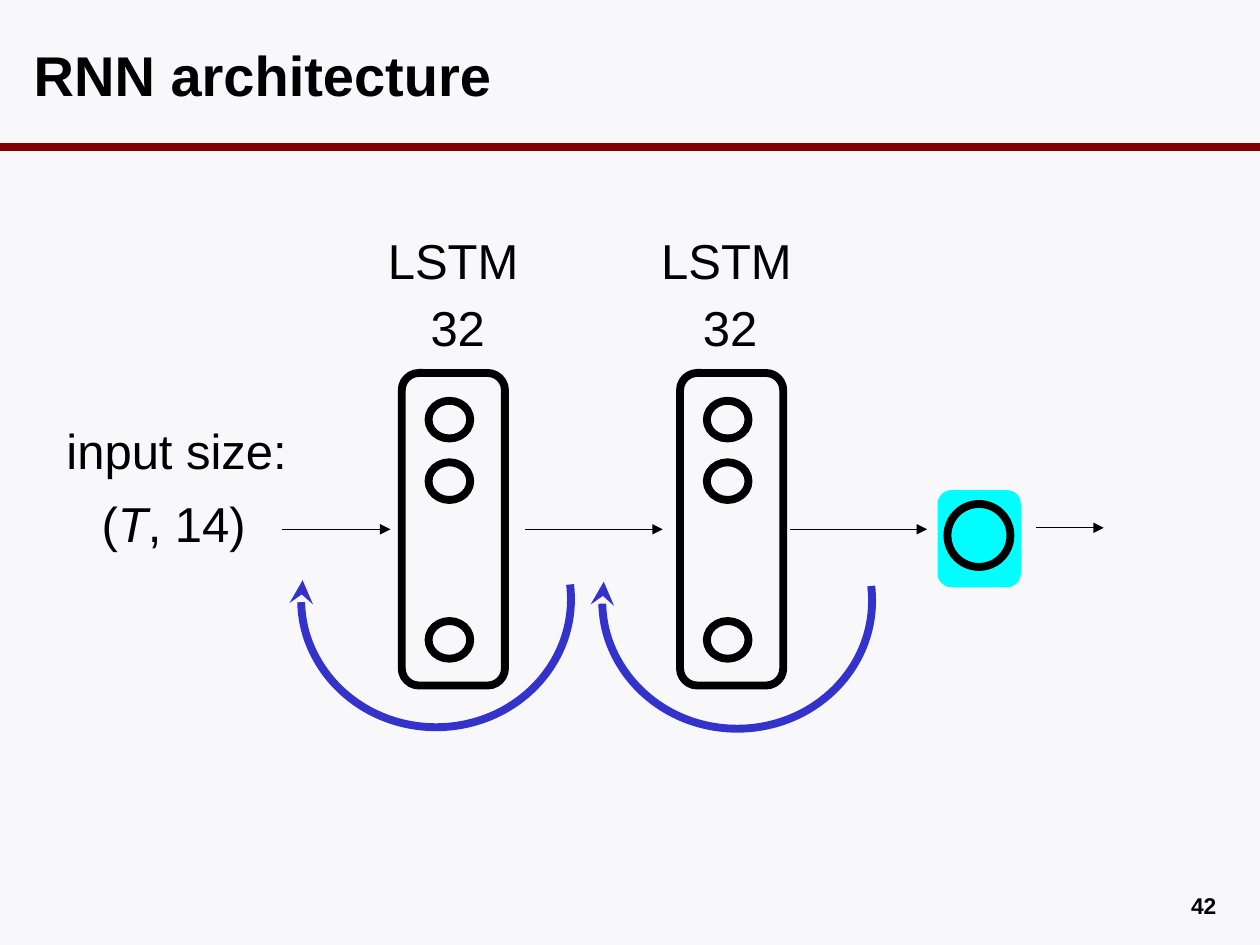
from typing import NamedTuple

from lxml.etree import SubElement
from pptx import Presentation
from pptx.dml.color import RGBColor
from pptx.enum.shapes import MSO_CONNECTOR, MSO_SHAPE
from pptx.enum.text import MSO_ANCHOR, PP_ALIGN
from pptx.oxml.ns import qn
from pptx.util import Cm, Pt

BLACK = RGBColor(0x00, 0x00, 0x00)
BLUE = RGBColor(0x33, 0x33, 0xCC)
CYAN = RGBColor(0x00, 0xFF, 0xFF)
MAROON = RGBColor(0x80, 0x00, 0x00)
PAPER = RGBColor(0xF8, 0xF8, 0xFA)
FONT = "Arial"
THICK = 4.5
THIN = 0.75


class Frame(NamedTuple):
    """Left, top, width and height in centimetres."""
    left: float
    top: float
    width: float
    height: float

    def lengths(self) -> list:
        return [Cm(value) for value in self]


class Run(NamedTuple):
    text: str
    italic: bool = False


class Label(NamedTuple):
    frame: Frame
    runs: list[Run]
    size: float = 28
    bold: bool = False
    align: PP_ALIGN = PP_ALIGN.LEFT
    anchor: MSO_ANCHOR = MSO_ANCHOR.TOP


class Layer(NamedTuple):
    """A recurrent layer; every value is a left edge in centimetres."""
    body: float
    name: float
    size: float
    loop: Frame


class Arrow(NamedTuple):
    start: float
    end: float
    height: float = 10.67


LAYERS = [
    Layer(8.1, 7.57, 8.43, Frame(6.07, 9.5, 5.44, 5.16)),
    Layer(13.71, 13.08, 13.92, Frame(12.14, 9.53, 5.44, 5.16)),
]
ARROWS = [Arrow(5.69, 7.87), Arrow(10.59, 13.36),
          Arrow(15.93, 18.69), Arrow(20.88, 22.25, 10.64)]
UNIT_TOPS = [8.08, 9.32, 12.52]
LABELS = [
    Label(Frame(0.43, 0.43, 24.28, 2.11), [Run("RNN architecture")],
          size=32, bold=True, anchor=MSO_ANCHOR.MIDDLE),
    Label(Frame(18.85, 17.86, 5.92, 0.69), [Run("42")],
          size=13, bold=True, align=PP_ALIGN.RIGHT),
    Label(Frame(1.09, 8.36, 5.16, 1.45), [Run("input size:")]),
    Label(Frame(1.8, 9.83, 3.76, 1.45),
          [Run("("), Run("T", italic=True), Run(", 14)")]),
]


def add_label(page, label: Label) -> None:
    box = page.shapes.add_textbox(*label.frame.lengths())
    box.text_frame.word_wrap = True
    box.text_frame.vertical_anchor = label.anchor
    para = box.text_frame.paragraphs[0]
    para.alignment = label.align
    for run in label.runs:
        span = para.add_run()
        span.text = run.text
        span.font.name = FONT
        span.font.size = Pt(label.size)
        span.font.bold = label.bold
        span.font.italic = run.italic
        span.font.color.rgb = BLACK


def add_outline(owner, kind: MSO_SHAPE, frame: Frame, color: RGBColor = BLACK):
    """Add an unfilled shape with a thick line to a page or group."""
    shape = owner.shapes.add_shape(kind, *frame.lengths())
    shape.shadow.inherit = False
    shape.fill.background()
    shape.line.color.rgb = color
    shape.line.width = Pt(THICK)
    return shape


def add_line(page, start: float, end: float, height: float,
             color: RGBColor, width: float):
    """Add a horizontal line."""
    line = page.shapes.add_connector(
        MSO_CONNECTOR.STRAIGHT, Cm(start), Cm(height), Cm(end), Cm(height))
    line.line.color.rgb = color
    line.line.width = Pt(width)
    SubElement(line._element.spPr, qn("a:effectLst"))
    return line


def add_arrowhead(shape, kind: str) -> None:
    SubElement(shape.line._get_or_add_ln(), qn("a:tailEnd"), type=kind)


def add_loop(page, frame: Frame) -> None:
    loop = add_outline(page, MSO_SHAPE.ARC, frame, BLUE)
    loop.adjustments[0] = 104.22
    loop.adjustments[1] = 4.88
    loop.rotation = 180
    add_arrowhead(loop, "stealth")


def add_layer(page, layer: Layer) -> None:
    add_loop(page, layer.loop)
    add_label(page, Label(Frame(layer.size, 5.87, 1.75, 1.45), [Run("32")]))
    add_label(page, Label(Frame(layer.name, 4.52, 3.43, 1.73), [Run("LSTM")]))
    group = page.shapes.add_group_shape()
    for top in UNIT_TOPS:
        add_outline(group, MSO_SHAPE.OVAL,
                    Frame(layer.body + 0.54, top, 0.84, 0.76))
    add_outline(group, MSO_SHAPE.ROUNDED_RECTANGLE,
                Frame(layer.body, 7.52, 2.08, 6.3))


def add_output(page) -> None:
    panel = page.shapes.add_shape(
        MSO_SHAPE.ROUNDED_RECTANGLE, *Frame(18.9, 9.88, 1.68, 1.96).lengths())
    panel.shadow.inherit = False
    panel.fill.solid()
    panel.fill.fore_color.rgb = CYAN
    panel.line.fill.background()
    add_outline(page, MSO_SHAPE.OVAL, Frame(19.1, 10.16, 1.27, 1.27))


def main() -> None:
    deck = Presentation()
    deck.slide_width, deck.slide_height = Cm(25.4), Cm(19.05)
    page = deck.slides.add_slide(deck.slide_layouts[6])
    page.background.fill.solid()
    page.background.fill.fore_color.rgb = PAPER

    add_line(page, 0, 25.4, 2.97, MAROON, THICK)
    for label in LABELS:
        add_label(page, label)
    add_output(page)
    for arrow in ARROWS:
        line = add_line(page, arrow.start, arrow.end, arrow.height, BLACK, THIN)
        add_arrowhead(line, "triangle")
    for layer in LAYERS:
        add_layer(page, layer)
    deck.save("out.pptx")


if __name__ == "__main__":
    main()
